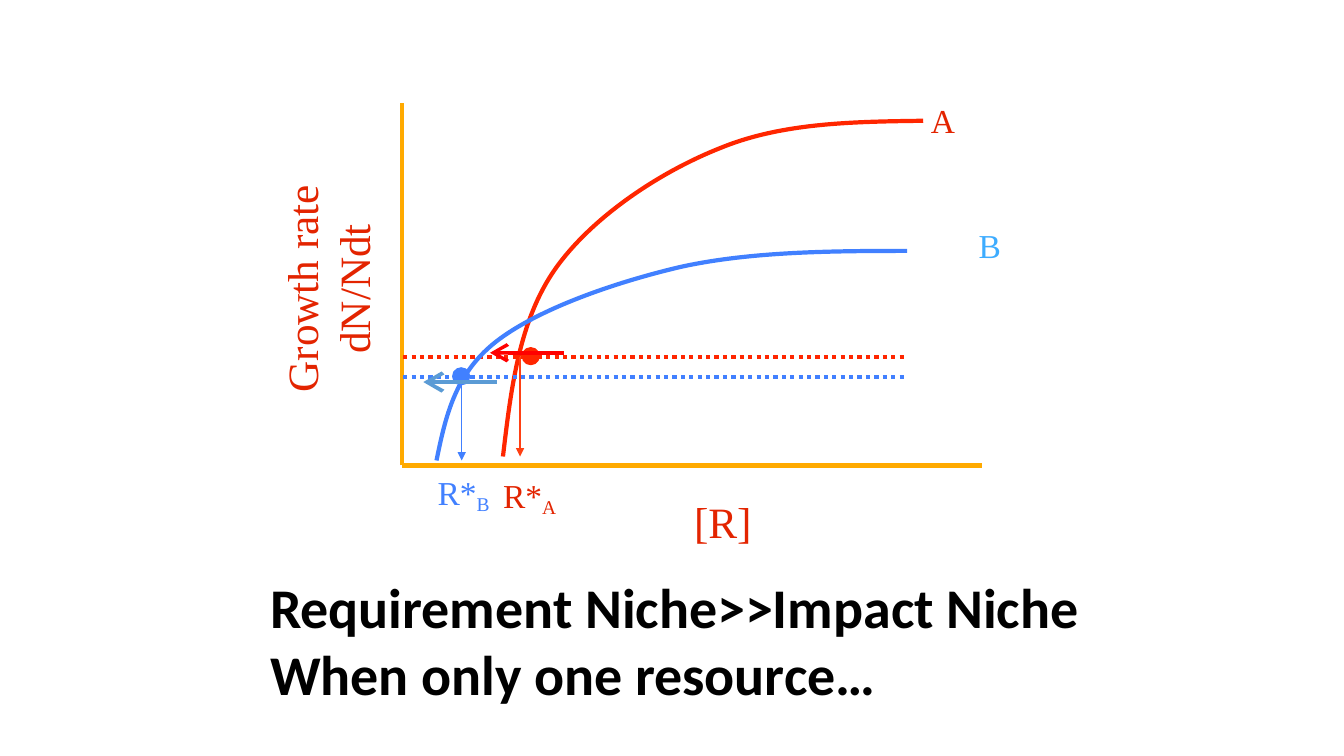
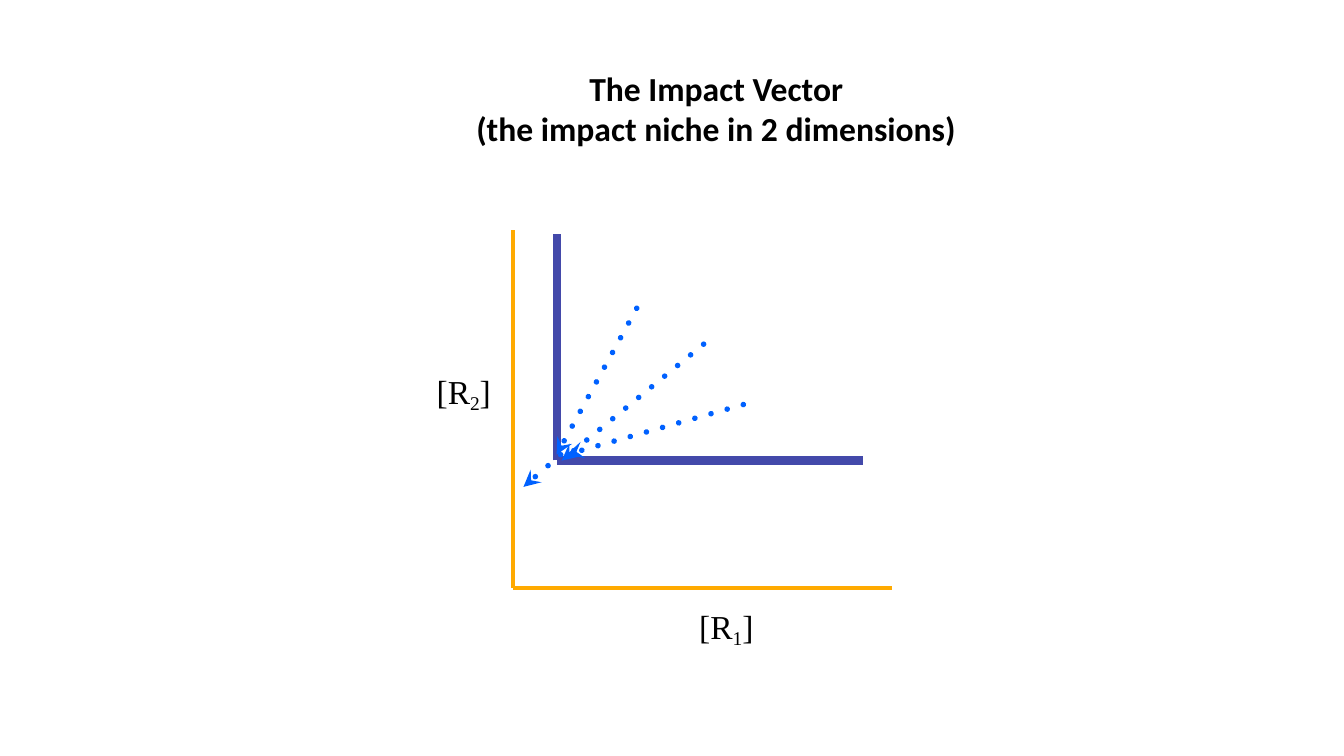
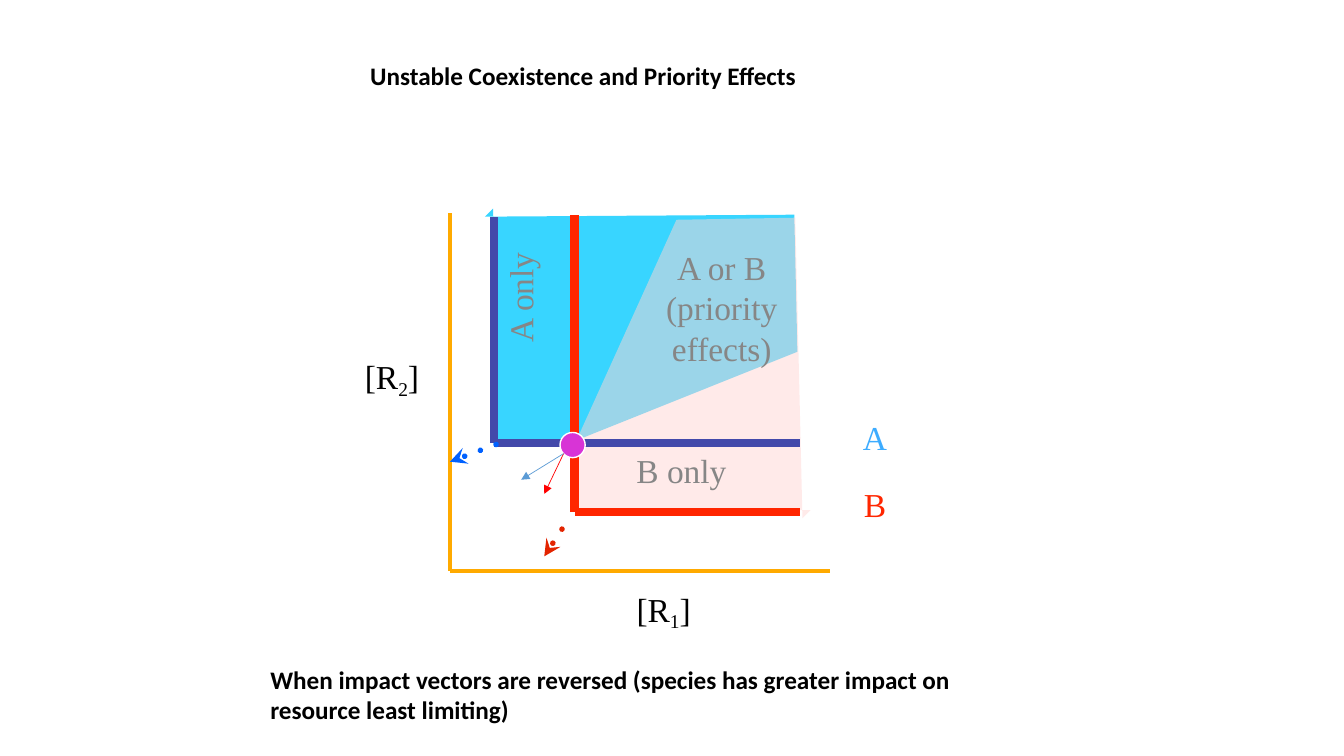
import dataclasses

import pptx
import pptx.dml.color
import pptx.enum.dml
import pptx.enum.shapes
import pptx.enum.text
import pptx.oxml
import pptx.oxml.ns
import pptx.util

Pt = pptx.util.Pt
ALIGN = pptx.enum.text.PP_ALIGN
ANCHOR = pptx.enum.text.MSO_ANCHOR


@dataclasses.dataclass(frozen=True)
class Theme:
    body_font: str = "Calibri"
    label_font: str = "Times New Roman"
    black: str = "000000"
    white: str = "FFFFFF"
    grey: str = "868686"
    axis: str = "FFAA00"
    red: str = "FF2600"
    dark_red: str = "E32400"
    orange_red: str = "FF4013"
    pure_red: str = "FF0000"
    blue: str = "4180FF"
    vector_blue: str = "0061FF"
    light_blue: str = "3DACFF"
    steel_blue: str = "5B9BD5"
    indigo: str = "4349AA"
    cyan: str = "38D5FF"
    pink: str = "FFD6D5"
    magenta: str = "D834D6"
    statement_size: float = 40
    axis_size: float = 30.9
    title_size: float = 24
    label_size: float = 23.9
    caption_size: float = 18
    axis_width: float = 3
    isocline_width: float = 6
    vector_width: float = 4


THEME = Theme()


@dataclasses.dataclass(frozen=True)
class Box:
    left: float
    top: float
    width: float
    height: float

    def point(self, x, y):
        """Turn a place inside the box into slide coordinates."""
        return Pt(self.left + x), Pt(self.top + y)

    def inner(self, left, top, width, height):
        return Box(self.left + left, self.top + top, width, height)

    def frame(self):
        return Pt(self.left), Pt(self.top), Pt(self.width), Pt(self.height)


def rgb(color):
    return pptx.dml.color.RGBColor.from_string(color)


def add_xml(parent, tag, content="", **attributes):
    """Append a drawing element with its attributes to a parent."""
    listed = " ".join(f'{name}="{value}"' for name, value in attributes.items())
    namespace = pptx.oxml.ns.nsdecls("a")
    parent.append(pptx.oxml.parse_xml(f"<a:{tag} {namespace} {listed}>{content}</a:{tag}>"))


def add_text(slide, box, text, size=THEME.caption_size, font=THEME.body_font,
             color=THEME.black, bold=False, align=ALIGN.LEFT, anchor=ANCHOR.TOP,
             inset=None, wrap=True, rotation=0):
    """Add a text box; an underscore makes the next character a subscript."""
    shape = slide.shapes.add_textbox(*box.frame())
    shape.rotation = rotation
    frame = shape.text_frame
    frame.word_wrap = wrap
    frame.auto_size = pptx.enum.text.MSO_AUTO_SIZE.SHAPE_TO_FIT_TEXT
    frame.vertical_anchor = anchor
    if inset is not None:
        frame.margin_left = frame.margin_right = Pt(inset)
        frame.margin_top = frame.margin_bottom = Pt(inset)
    for index, line in enumerate(text.split("\n")):
        paragraph = frame.add_paragraph() if index else frame.paragraphs[0]
        paragraph.alignment = align
        start, *marked = line.split("_")
        pieces = [(start, False)]
        for part in marked:
            pieces += [(part[:1], True), (part[1:], False)]
        for piece, lowered in pieces:
            if not piece:
                continue
            run = paragraph.add_run()
            run.text = piece
            run.font.name = font
            run.font.size = Pt(size)
            run.font.bold = bold
            run.font.color.rgb = rgb(color)
            if lowered:
                run._r.get_or_add_rPr().set("baseline", "-19000")


def add_label(slide, box, text, size=THEME.label_size, **text_format):
    add_text(slide, box, text, size=size, font=THEME.label_font, align=ALIGN.CENTER,
             anchor=ANCHOR.MIDDLE, inset=2.9, **text_format)


def add_line(slide, box, start, end, color, width, dash=None, dotted=False,
             head=None, tail=None, head_size="med"):
    """Join two places in the box; head and tail name arrowheads at start and end."""
    connector = slide.shapes.add_connector(
        pptx.enum.shapes.MSO_CONNECTOR.STRAIGHT, *box.point(*start), *box.point(*end))
    connector.line.color.rgb = rgb(color)
    connector.line.width = Pt(width)
    if dash is not None:
        connector.line.dash_style = dash
    outline = connector.line._get_or_add_ln()
    if dotted:
        outline.set("cap", "rnd")
        add_xml(outline, "custDash", '<a:ds d="100000" sp="200000"/>')
    for tag, arrowhead in (("headEnd", head), ("tailEnd", tail)):
        if arrowhead:
            add_xml(outline, tag, type=arrowhead, w=head_size, len=head_size)
    add_xml(connector._element.spPr, "effectLst")


def add_dot(slide, box, center, diameter, fill, line):
    x, y = center
    dot_box = box.inner(x - diameter / 2, y - diameter / 2, diameter, diameter)
    shape = slide.shapes.add_shape(pptx.enum.shapes.MSO_SHAPE.OVAL, *dot_box.frame())
    shape.shadow.inherit = False
    shape.fill.solid()
    shape.fill.fore_color.rgb = rgb(fill)
    shape.line.color.rgb = rgb(line)
    shape.line.width = Pt(1)


def add_outline(slide, box, points, closed):
    start, *others = [box.point(*point) for point in points]
    builder = slide.shapes.build_freeform(*start, scale=1.0)
    builder.add_line_segments(others, close=closed)
    shape = builder.convert_to_shape()
    shape.shadow.inherit = False
    return shape


def add_region(slide, box, points, color, opacity=100):
    shape = add_outline(slide, box, points, True)
    shape.fill.solid()
    shape.fill.fore_color.rgb = rgb(color)
    shape.line.fill.background()
    if opacity < 100:
        fill_color = shape._element.spPr.find(".//" + pptx.oxml.ns.qn("a:srgbClr"))
        add_xml(fill_color, "alpha", val=opacity * 1000)


def add_curve(slide, box, controls, color):
    """Draw cubic curves, given as a start and then three control points for each."""
    shape = add_outline(slide, box, controls, False)
    outline = shape._element.spPr.find(".//" + pptx.oxml.ns.qn("a:path"))
    segments = outline.findall(pptx.oxml.ns.qn("a:lnTo"))
    for first in range(0, len(segments), 3):
        add_xml(outline, "cubicBezTo")
        for segment in segments[first:first + 3]:
            outline[-1].append(segment[0])
            outline.remove(segment)
    shape.fill.background()
    shape.line.color.rgb = rgb(color)
    shape.line.width = Pt(THEME.axis_width)


def add_axes(slide, box):
    origin = (0, box.height)
    for end in ((0, 0), (box.width, box.height)):
        add_line(slide, box, origin, end, THEME.axis, THEME.axis_width)


@dataclasses.dataclass(frozen=True)
class Species:
    curve: tuple
    color: str
    drop_color: str
    threshold: float
    dot: tuple
    drop: tuple
    name: str
    name_at: tuple
    name_color: str
    minimum_at: tuple
    minimum_color: str


GROWTH_SPECIES = (
    Species(
        curve=((72.3, 252.2), (78, 204), (83.8, 155), (109.7, 118.2), (135.6, 81.5),
               (183.9, 49.1), (227.8, 31.8), (271.7, 13.8), (322.1, 13.1), (372.5, 12.4)),
        color=THEME.red, drop_color=THEME.orange_red, threshold=180.9,
        dot=(92.1, 180.5), drop=(84.5, 181, 252.2),
        name="A", name_at=(332.2, -5.6), name_color=THEME.dark_red,
        minimum_at=(62.9, 263.7), minimum_color=THEME.dark_red),
    Species(
        curve=((24.8, 255), (31.2, 224.1), (37.7, 193.8), (66.5, 170.8), (95.3, 147.8),
               (150, 128.3), (199, 116.8), (248, 106), (304.1, 105.3), (361, 105.3)),
        color=THEME.blue, drop_color=THEME.blue, threshold=195.3,
        dot=(42.4, 194.9), drop=(42.8, 201, 255),
        name="B", name_at=(365.6, 83.7), name_color=THEME.light_blue,
        minimum_at=(15.6, 261.5), minimum_color=THEME.blue),
)


def add_species(slide, box, species):
    """Draw a growth curve with its threshold, its resource minimum and its labels."""
    add_curve(slide, box, species.curve, species.color)
    add_line(slide, box, (1, species.threshold), (361, species.threshold), species.color,
             THEME.axis_width, dash=pptx.enum.dml.MSO_LINE.ROUND_DOT)
    add_dot(slide, box, species.dot, 12, species.color, species.color)
    x, top, bottom = species.drop
    add_line(slide, box, (x, top), (x, bottom), species.drop_color, 1, tail="triangle")
    add_label(slide, box.inner(*species.name_at, 108.7, 34.6), species.name,
              color=species.name_color)
    add_label(slide, box.inner(*species.minimum_at, 56.9, 34.6), f"R*_{species.name}",
              color=species.minimum_color)


def add_growth_plot(slide, box):
    add_axes(slide, box)
    add_label(slide, box.inner(171, 277, 116.6, 43.2), "[R]", size=THEME.axis_size,
              color=THEME.dark_red)
    add_label(slide, box.inner(-146.8, 92.1, 186.5, 80.6), "Growth rate dN/Ndt",
              size=THEME.axis_size, color=THEME.dark_red, rotation=270)
    for species in GROWTH_SPECIES:
        add_species(slide, box, species)
    for x, y, color, width in ((68, 199, THEME.steel_blue, 2.75),
                               (115.6, 178.1, THEME.pure_red, 2.5)):
        add_line(slide, box, (x, y), (x - 52.6, y), color, width, tail="arrow",
                 head_size="lg")


def add_resource_axes(slide, box, vertical_label_at):
    add_axes(slide, box)
    add_label(slide, box.inner(94.3, 267, 116.6, 34.6), "[R_1]")
    add_label(slide, box.inner(*vertical_label_at, 108.7, 34.6), "[R_2]")


def add_isocline(slide, box, corner, color, top=2.8):
    """Draw the right angle that runs up and right from its corner."""
    for end in ((corner[0], top), (250, corner[1])):
        add_line(slide, box, corner, end, color, THEME.isocline_width)


def add_impact_vector(slide, box, tip, end, color):
    add_line(slide, box, tip, end, color, THEME.vector_width, dotted=True, head="stealth")


ISOCLINE_A = (31.5, 164.6)
ISOCLINE_B = (89, 213.8)


def add_impact_plot(slide, box):
    add_resource_axes(slide, box, (-89.3, 98.8))
    add_isocline(slide, box, ISOCLINE_A, THEME.indigo)
    for tip, end in (((7.7, 183.6), (38.6, 156.9)), ((35, 164.8), (143.8, 75.6)),
                     ((31.4, 160.5), (94.1, 46)), ((38.6, 160.5), (168.2, 123.8))):
        add_impact_vector(slide, box, tip, end, THEME.vector_blue)


def add_priority_plot(slide, box):
    add_resource_axes(slide, box, (-95.8, 100.8))
    for name, top, color in (("A", 143.2, THEME.light_blue), ("B", 190.7, THEME.red)):
        add_label(slide, box.inner(249.2, top, 108.7, 34.6), name, color=color)
    add_region(slide, box, ((30.8, -3), (30.8, 164.8), (84.8, 164.8), (248.2, 99.3),
                            (246, 1.4), (25, 2.8)), THEME.cyan)
    add_region(slide, box, ((257.6, 212.3), (92, 212.3), (92, 159), (161.8, 5),
                            (246.7, 3.5), (251.8, 218.1)), THEME.pink, opacity=50)
    add_label(slide, box.inner(111, 166.2, 108.7, 34.6), "B only", color=THEME.grey)
    add_label(slide, box.inner(139.8, 21.2, 108.7, 92.9), "A or B\n(priority effects)",
              color=THEME.grey)
    add_isocline(slide, box, ISOCLINE_B, THEME.red, top=1.4)
    add_isocline(slide, box, ISOCLINE_A, THEME.indigo)
    add_label(slide, box.inner(-4.4, 43.1, 108.7, 34.6), "A only", color=THEME.grey,
              rotation=270)
    add_dot(slide, box, (87.6, 165.9), 18, THEME.magenta, THEME.white)
    for end, color in (((67.4, 200.8), THEME.pure_red), ((50.9, 190.7), THEME.steel_blue)):
        add_line(slide, box, (81.2, 172), end, color, 0.5, tail="triangle")
    add_impact_vector(slide, box, (67.4, 245.4), (84.7, 218.8), THEME.dark_red)
    add_impact_vector(slide, box, (0, 177.8), (36.6, 164.1), THEME.vector_blue)


def build_growth_slide(slide):
    add_growth_plot(slide, Box(287, 73.9, 414.8, 258.6))
    add_text(slide, Box(185.8, 405.4, 607.7, 104.4),
             "Requirement Niche>>Impact Niche\nWhen only one resource…",
             size=THEME.statement_size, bold=True, wrap=False)


def build_impact_slide(slide):
    add_impact_plot(slide, Box(366.2, 164.2, 271.2, 255.8))
    add_text(slide, Box(331.2, 44.9, 360.7, 65.5),
             "The Impact Vector\n(the impact niche in 2 dimensions)",
             size=THEME.title_size, bold=True, align=ALIGN.CENTER, wrap=False)


def build_priority_slide(slide):
    add_priority_plot(slide, Box(321.4, 152, 271.2, 255.8))
    add_text(slide, Box(186, 470.9, 522, 51.1),
             "When impact vectors are reversed (species has greater impact on "
             "resource least limiting)", bold=True)
    add_text(slide, Box(257.3, 39.6, 321.8, 28.8),
             "Unstable Coexistence and Priority Effects", bold=True, wrap=False)


def main():
    presentation = pptx.Presentation()
    presentation.slide_width = Pt(960)
    presentation.slide_height = Pt(540)
    blank = presentation.slide_layouts[6]
    for build in (build_growth_slide, build_impact_slide, build_priority_slide):
        build(presentation.slides.add_slide(blank))
    presentation.save("out.pptx")


if __name__ == "__main__":
    main()
